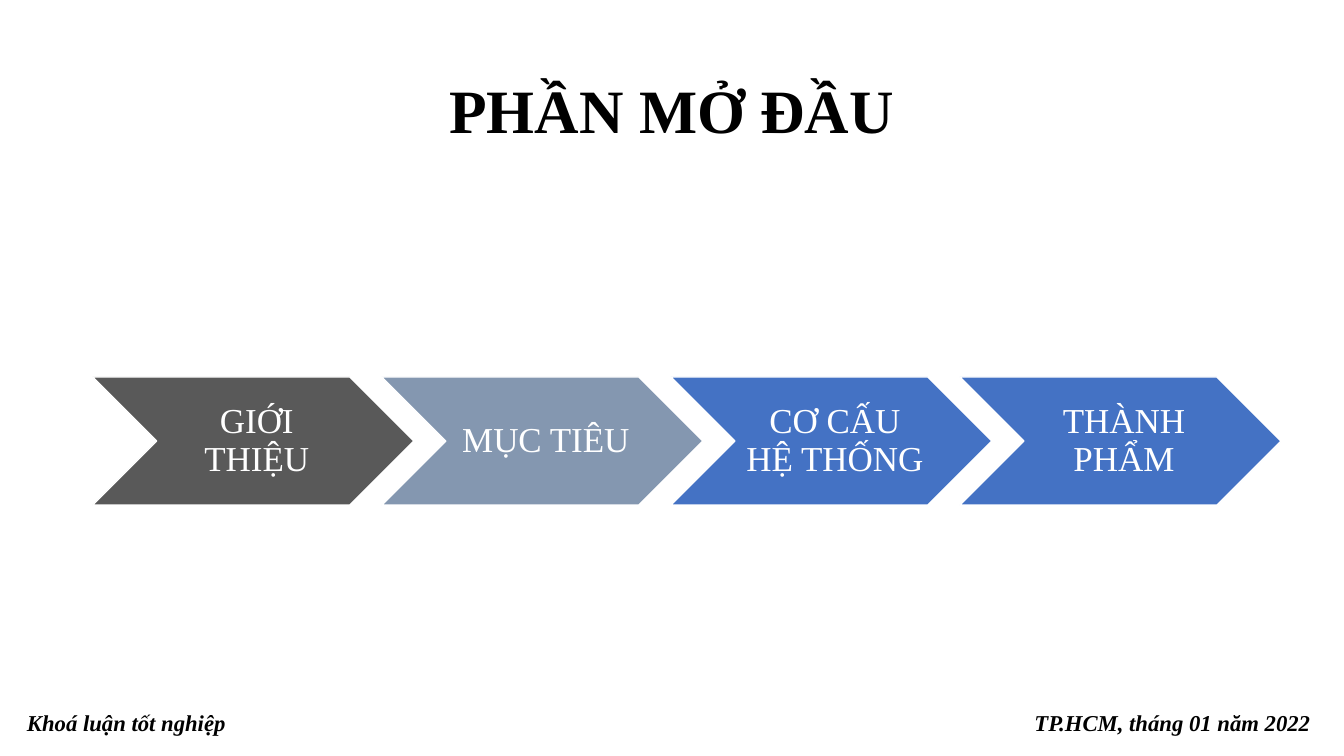
from lxml.etree import SubElement
from pptx import Presentation
from pptx.dml.color import RGBColor
from pptx.enum.shapes import MSO_SHAPE
from pptx.enum.text import MSO_ANCHOR, PP_ALIGN
from pptx.oxml.ns import qn
from pptx.util import Pt

FONT = "Times New Roman"
BLACK, WHITE = "000000", "FFFFFF"
STEPS = [
    ("GIỚI THIỆU", "595959"),
    ("MỤC TIÊU", "8497B0"),
    ("CƠ CẤU HỆ THỐNG", "4472C4"),
    ("THÀNH PHẨM", "4472C4"),
]
STEP_LEFT, STEP_TOP, STEP_WIDTH, STEP_HEIGHT = 66.2, 269.3, 229.4, 91.5
STEP_PITCH = STEP_WIDTH * 0.9


def color(hex_value):
    return RGBColor.from_string(hex_value)


def set_attributes(target, values):
    for name, value in values.items():
        setattr(target, name, value)


def write_text(shape, text, hex_color, anchor, font_format, paragraph_format):
    frame = shape.text_frame
    set_attributes(frame, {"word_wrap": True, "vertical_anchor": anchor})
    paragraph = frame.paragraphs[0]
    set_attributes(paragraph, paragraph_format)
    run = paragraph.add_run()
    run.text = text
    set_attributes(run.font, {"name": FONT, **font_format})
    run.font.color.rgb = color(hex_color)
    return paragraph


def add_text(slide, box, text, anchor, font_format, paragraph_format):
    shape = slide.shapes.add_textbox(*map(Pt, box))
    return write_text(shape, text, BLACK, anchor, font_format, paragraph_format)


def add_step(slide, left, text, fill):
    chevron = slide.shapes.add_shape(
        MSO_SHAPE.CHEVRON, Pt(left), Pt(STEP_TOP), Pt(STEP_WIDTH), Pt(STEP_HEIGHT))
    chevron.shadow.inherit = False
    chevron.fill.solid()
    chevron.fill.fore_color.rgb = color(fill)
    chevron.line.color.rgb = color(WHITE)
    chevron.line.width = Pt(1)
    set_attributes(chevron.text_frame, {
        "margin_left": Pt(7.5), "margin_right": Pt(2.5),
        "margin_top": Pt(2.5), "margin_bottom": Pt(2.5)})
    write_text(chevron, text, WHITE, MSO_ANCHOR.MIDDLE, {"size": Pt(25)},
               {"alignment": PP_ALIGN.CENTER, "line_spacing": 0.9})


def add_right_tab(paragraph, position):
    properties = paragraph._p.get_or_add_pPr()
    tab_list = SubElement(properties, qn("a:tabLst"))
    SubElement(tab_list, qn("a:tab"), pos=str(Pt(position)), algn="r")


def main():
    presentation = Presentation()
    set_attributes(presentation, {"slide_width": Pt(960), "slide_height": Pt(540)})
    slide = presentation.slides.add_slide(presentation.slide_layouts[6])

    # Title
    add_text(slide, (66, 28.8, 828, 104.4), "PHẦN MỞ ĐẦU", MSO_ANCHOR.MIDDLE,
             {"size": Pt(44), "bold": True},
             {"alignment": PP_ALIGN.CENTER, "line_spacing": 0.9})

    # Process steps
    for index, (text, fill) in enumerate(STEPS):
        add_step(slide, STEP_LEFT + index * STEP_PITCH, text, fill)

    # Footer: thesis label on the left, place and date on the right
    footer = add_text(slide, (12.2, 488.9, 939, 40.3),
                      "Khoá luận tốt nghiệp\tTP.HCM, tháng 01 năm 2022",
                      MSO_ANCHOR.BOTTOM,
                      {"size": Pt(16.2), "bold": True, "italic": True},
                      {"alignment": PP_ALIGN.LEFT})
    add_right_tab(footer, 916.5)

    presentation.save("out.pptx")


main()
